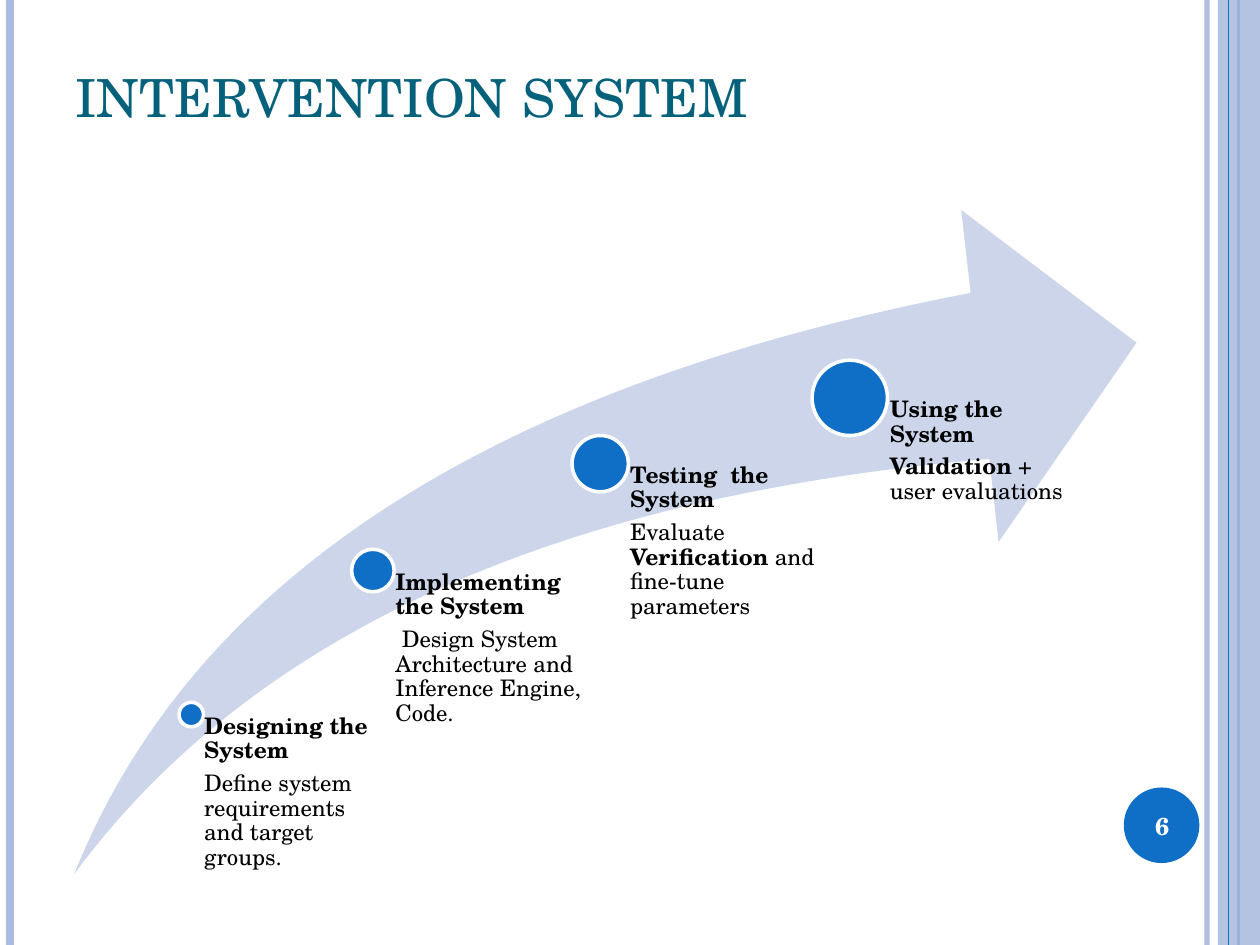
from lxml import etree
from pptx import Presentation
from pptx.dml.color import RGBColor
from pptx.enum.shapes import MSO_CONNECTOR, MSO_SHAPE
from pptx.enum.text import MSO_ANCHOR, PP_ALIGN
from pptx.oxml.ns import qn
from pptx.util import Pt

STRAIGHT = MSO_CONNECTOR.STRAIGHT
OVAL, RECTANGLE, SWOOSH = MSO_SHAPE.OVAL, MSO_SHAPE.RECTANGLE, MSO_SHAPE.SWOOSH_ARROW
TOP, MIDDLE, BOTTOM = MSO_ANCHOR.TOP, MSO_ANCHOR.MIDDLE, MSO_ANCHOR.BOTTOM
LEFT, CENTER = PP_ALIGN.LEFT, PP_ALIGN.CENTER
FONT = "TeX Gyre Schola"
COLORS = {"blue": "0F6FC6", "pale": "ABBBDF", "arrow": "CCD5EA",
          "title": "04617B", "white": "FFFFFF", "black": "000000"}
WIDTH, HEIGHT = 720, 540

# Each step: centre x, centre y, diameter and text width as shares of the arrow box.
STEPS = [
    (0.11, 0.76, 0.023, 0.171, [
        [("Designing the System", True)],
        [("Define system requirements and target groups.", False)]]),
    (0.281, 0.543, 0.04, 0.21, [
        [("Implementing the System", True)],
        [(" ", True), ("Design System Architecture and Inference Engine, Code.", False)]]),
    (0.495, 0.382, 0.053, 0.21, [
        [("Testing  the System", True)],
        [("Evaluate ", False), ("Verification ", True), ("and fine-tune parameters", False)]]),
    (0.73, 0.283, 0.071, 0.21, [
        [("Using the System", True)],
        [("Validation", True), (" + user evaluations", False)]]),
]


def rgb(name):
    """Return the named colour."""
    return RGBColor.from_string(COLORS[name])


def set_alpha(element, percent):
    """Make the solid colour inside an element partly transparent."""
    color = next(element.iter(qn("a:srgbClr")))
    etree.SubElement(color, qn("a:alpha")).set("val", str(percent * 1000))


def add_shape(page, kind, left, top, width, height, fill, outline=None):
    """Add a filled preset shape with an optional 2 pt outline."""
    shape = page.shapes.add_shape(kind, Pt(left), Pt(top), Pt(width), Pt(height))
    shape.shadow.inherit = False
    shape.fill.solid()
    shape.fill.fore_color.rgb = rgb(fill)
    if outline:
        shape.line.color.rgb = rgb(outline)
        shape.line.width = Pt(2)
    else:
        shape.line.fill.background()
    return shape


def add_rule(page, x, weight, color):
    """Add a vertical line over the full page height."""
    rule = page.shapes.add_connector(STRAIGHT, Pt(x), Pt(0), Pt(x), Pt(HEIGHT))
    rule.line.color.rgb = rgb(color)
    rule.line.width = Pt(weight)
    etree.SubElement(rule._element.spPr, qn("a:effectLst"))
    return rule


def add_text(page, left, top, width, height, paragraphs, size=13, color="black",
             align=LEFT, anchor=TOP, insets=(7.2, 3.6, 7.2, 3.6), spacing=1, after=0):
    """Add a text box from paragraphs given as lists of (text, bold) spans."""
    box = page.shapes.add_textbox(Pt(left), Pt(top), Pt(width), Pt(height))
    frame = box.text_frame
    frame.word_wrap = True
    frame.vertical_anchor = anchor
    frame.margin_left, frame.margin_top, frame.margin_right, frame.margin_bottom = map(Pt, insets)
    for index, spans in enumerate(paragraphs):
        para = frame.add_paragraph() if index else frame.paragraphs[0]
        para.alignment = align
        para.line_spacing = spacing
        para.space_after = Pt(after)
        for text, bold in spans:
            span = para.add_run()
            span.text = text
            span.font.name = FONT
            span.font.size = Pt(size)
            span.font.bold = bold
            span.font.color.rgb = rgb(color)
    return box


def add_frame(page):
    """Draw the vertical bands at the page edges."""
    set_alpha(add_rule(page, 689.8, 3, "pale")._element, 93)
    add_rule(page, 5.8, 4.5, "pale")
    add_rule(page, 707.8, 1.5, "blue")
    band = add_shape(page, RECTANGLE, 696, 0, WIDTH - 696, HEIGHT, "pale")
    set_alpha(band._element, 87)
    add_rule(page, 702, 0.75, "blue")


def add_page_number(page, left, top, diameter, number):
    """Draw the page number in its disc."""
    add_shape(page, OVAL, left, top, diameter, diameter, "blue")
    add_text(page, left - 2.2, top + 1.2, diameter + 5, diameter - 2.4, [[(number, True)]],
             size=14, color="white", align=CENTER, anchor=MIDDLE)


def add_process(page, left, top, width, height):
    """Draw the rising arrow with its steps."""
    arrow = add_shape(page, SWOOSH, left, top, width, height, "arrow")
    arrow.adjustments[0] = arrow.adjustments[1] = 0.25
    for x_share, y_share, size_share, text_share, paragraphs in STEPS:
        x, y = left + x_share * width, top + y_share * height
        diameter = size_share * width
        radius = diameter / 2
        add_shape(page, OVAL, x - radius, y - radius, diameter, diameter, "blue", "white")
        add_text(page, x, y, text_share * width, top + height - y, paragraphs,
                 insets=(1.06 * radius, 0, 0, 0), spacing=0.9, after=4.55)


def main():
    """Build and save the deck."""
    deck = Presentation()
    deck.slide_width, deck.slide_height = Pt(WIDTH), Pt(HEIGHT)
    page = deck.slides.add_slide(deck.slide_layouts[6])
    add_frame(page)
    add_page_number(page, 642.2, 450, 43.2, "6")
    add_text(page, 36, 21.6, 613.4, 55.4, [[("INTERVENTION SYSTEM", False)]],
             size=30, color="title", anchor=BOTTOM)
    add_process(page, 42.5, 120, 607, 379.4)
    deck.save("out.pptx")


if __name__ == "__main__":
    main()
